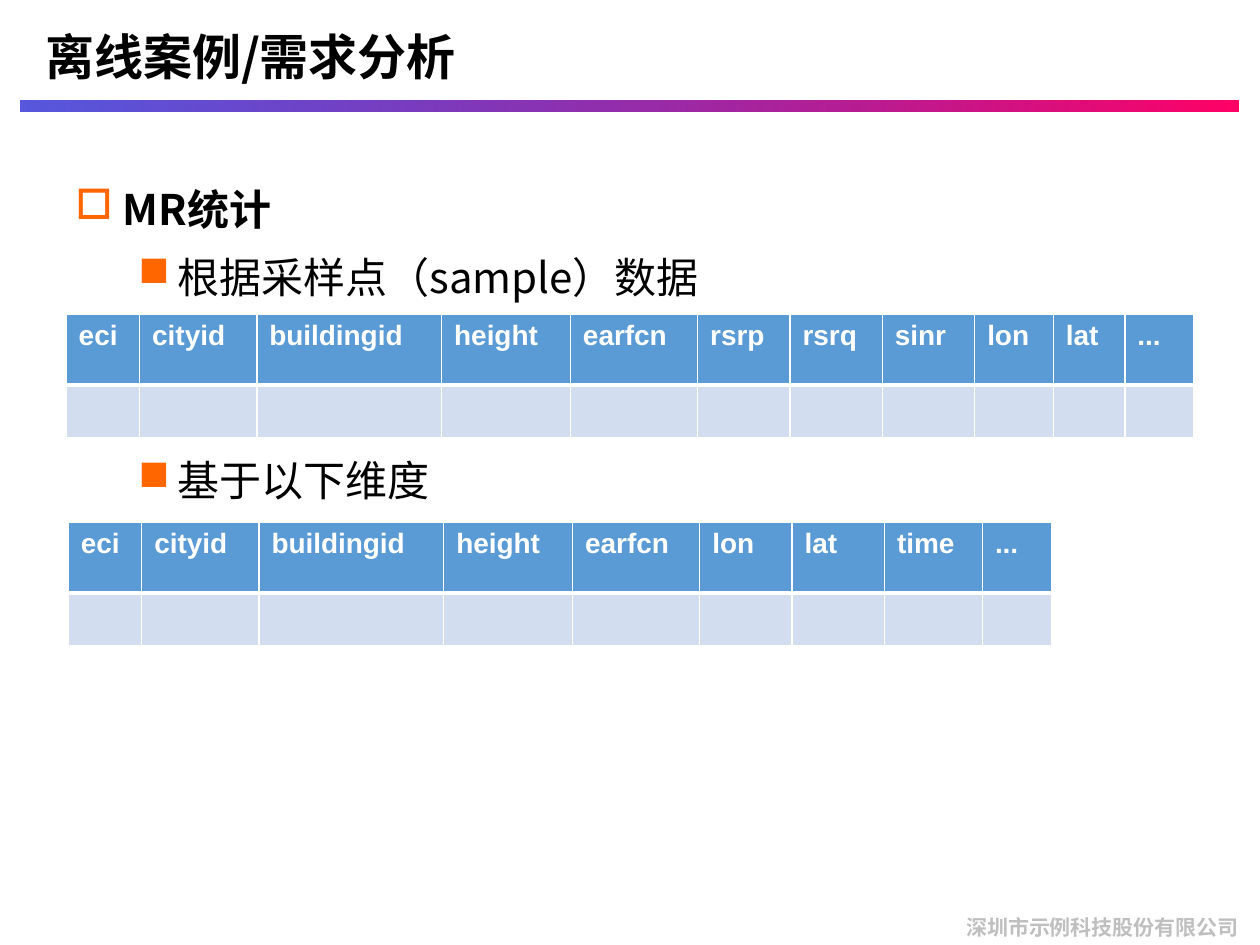
from lxml import etree
from pptx import Presentation
from pptx import util as u
from pptx.dml.color import RGBColor
from pptx.enum import shapes, text
from pptx.oxml import ns

Pt = u.Pt
CJK_FONT = "Noto Sans CJK SC"
ORANGE = "FF6600"
WHITE = "FFFFFF"
# Wingdings codes for the hollow and the solid square
HOLLOW_SQUARE, SOLID_SQUARE = "o", "n"

# Column widths shared by both tables
SHARED_COLUMNS = [("eci", 42), ("cityid", 67), ("buildingid", 105.6),
                  ("height", 73.6), ("earfcn", 72.7)]
SAMPLE_COLUMNS = SHARED_COLUMNS + [("rsrp", 52.8), ("rsrq", 52.8), ("sinr", 52.8),
                                   ("lon", 45), ("lat", 40.8), ("...", 39.4)]
DIMENSION_COLUMNS = SHARED_COLUMNS + [("lon", 52.8), ("lat", 52.8),
                                      ("time", 56), ("...", 39.4)]

# Text, bold, bullet, left margin, hanging indent, space before
OUTLINE = [
    ("MR统计", True, HOLLOW_SQUARE, 27, 27, 0),
    ("根据采样点（sample）数据", False, SOLID_SQUARE, 58.3, 22.3, 2.8),
    ("基于以下维度", False, SOLID_SQUARE, 58.3, 22.3, 80.1),
]


def color(hex_value):
    return RGBColor.from_string(hex_value)


def add_element(parent, tag, **attributes):
    return etree.SubElement(parent, ns.qn(tag), attributes)


def set_attributes(target, values):
    for name, value in values.items():
        setattr(target, name, value)


def format_font(paragraph, size, bold, hex_value, name=CJK_FONT):
    set_attributes(paragraph.font, {"size": Pt(size), "bold": bold, "name": name})
    paragraph.font.color.rgb = color(hex_value)
    for run in paragraph.runs:
        set_attributes(run.font, {"size": Pt(size), "bold": bold, "name": name})
        run.font.color.rgb = color(hex_value)
        add_element(run.font._element, "a:ea", typeface=name)


def add_title(slide, title):
    shape = slide.shapes.title
    set_attributes(shape, {"left": Pt(11.5), "top": Pt(0),
                           "width": Pt(593.3), "height": Pt(63.4)})
    frame = shape.text_frame
    frame.text = title
    set_attributes(frame, {"vertical_anchor": text.MSO_ANCHOR.MIDDLE,
                           "margin_left": Pt(14.4), "word_wrap": True,
                           "auto_size": text.MSO_AUTO_SIZE.NONE})
    paragraph = frame.paragraphs[0]
    paragraph.alignment = text.PP_ALIGN.LEFT
    format_font(paragraph, 28, True, "000000")


def add_gradient_bar(slide):
    bar = slide.shapes.add_shape(shapes.MSO_SHAPE.RECTANGLE,
                                 Pt(11.5), Pt(57.3), Pt(696.2), Pt(6.4))
    bar.shadow.inherit = False
    bar.line.fill.background()
    bar.fill.gradient()
    bar.fill.gradient_angle = 0
    for stop, hex_value in zip(bar.fill.gradient_stops, ("0000CC", "FF0066")):
        stop.color.rgb = color(hex_value)
    # The blue end is partly transparent
    blue = next(bar._element.spPr.iter(ns.qn("a:srgbClr")))
    add_element(blue, "a:alpha", val="66000")


def add_text_box(slide, left, top, width, height):
    box = slide.shapes.add_textbox(Pt(left), Pt(top), Pt(width), Pt(height))
    box.text_frame.word_wrap = True
    return box.text_frame


def add_bullet(paragraph, character, margin, hanging):
    properties = paragraph._p.get_or_add_pPr()
    properties.set("marL", str(int(Pt(margin))))
    properties.set("indent", str(-int(Pt(hanging))))
    bullet_color = add_element(properties, "a:buClr")
    add_element(bullet_color, "a:srgbClr", val=ORANGE)
    add_element(properties, "a:buFont", typeface="Wingdings", charset="2")
    add_element(properties, "a:buChar", char=character)


def add_outline(slide):
    frame = add_text_box(slide, 36, 94.3, 648, 409.7)
    for index, (words, bold, bullet, margin, hanging, gap) in enumerate(OUTLINE):
        paragraph = frame.add_paragraph() if index else frame.paragraphs[0]
        paragraph.text = words
        add_bullet(paragraph, bullet, margin, hanging)
        paragraph.line_spacing = 1.25
        if gap:
            paragraph.space_before = Pt(gap)
        format_font(paragraph, 24, bold, "000000")


def format_cell(cell, fill, bottom_width):
    properties = cell._tc.get_or_add_tcPr()
    for side, width in (("L", 1), ("R", 1), ("T", 1), ("B", bottom_width)):
        line = add_element(properties, f"a:ln{side}", w=str(int(Pt(width))))
        add_element(add_element(line, "a:solidFill"), "a:srgbClr", val=WHITE)
    cell.fill.solid()
    cell.fill.fore_color.rgb = color(fill)


def add_field_table(slide, left, top, columns):
    total = sum(width for _, width in columns)
    table = slide.shapes.add_table(2, len(columns), Pt(left), Pt(top),
                                   Pt(total), Pt(70.8)).table
    for row, height in zip(table.rows, (40.5, 30.3)):
        row.height = Pt(height)
    for index, (name, width) in enumerate(columns):
        table.columns[index].width = Pt(width)
        header = table.cell(0, index)
        header.text = name
        format_font(header.text_frame.paragraphs[0], 16, True, WHITE, "Arial")
        format_cell(header, "5B9BD5", 3)
        format_cell(table.cell(1, index), "D2DEEF", 1)


def add_footer(slide, words):
    frame = add_text_box(slide, 545, 519.1, 177.8, 23.8)
    frame.word_wrap = False
    paragraph = frame.paragraphs[0]
    paragraph.text = words
    format_font(paragraph, 12, True, "BFBFBF")


def main():
    presentation = Presentation()
    set_attributes(presentation, {"slide_width": Pt(720), "slide_height": Pt(540)})
    slide = presentation.slides.add_slide(presentation.slide_layouts[5])
    # Header and footer
    add_gradient_bar(slide)
    add_footer(slide, "深圳市示例科技股份有限公司")
    add_title(slide, "离线案例/需求分析")
    # Outline with its two tables
    add_outline(slide)
    add_field_table(slide, 37.8, 179.5, SAMPLE_COLUMNS)
    add_field_table(slide, 39, 298.3, DIMENSION_COLUMNS)
    presentation.save("out.pptx")


if __name__ == "__main__":
    main()
